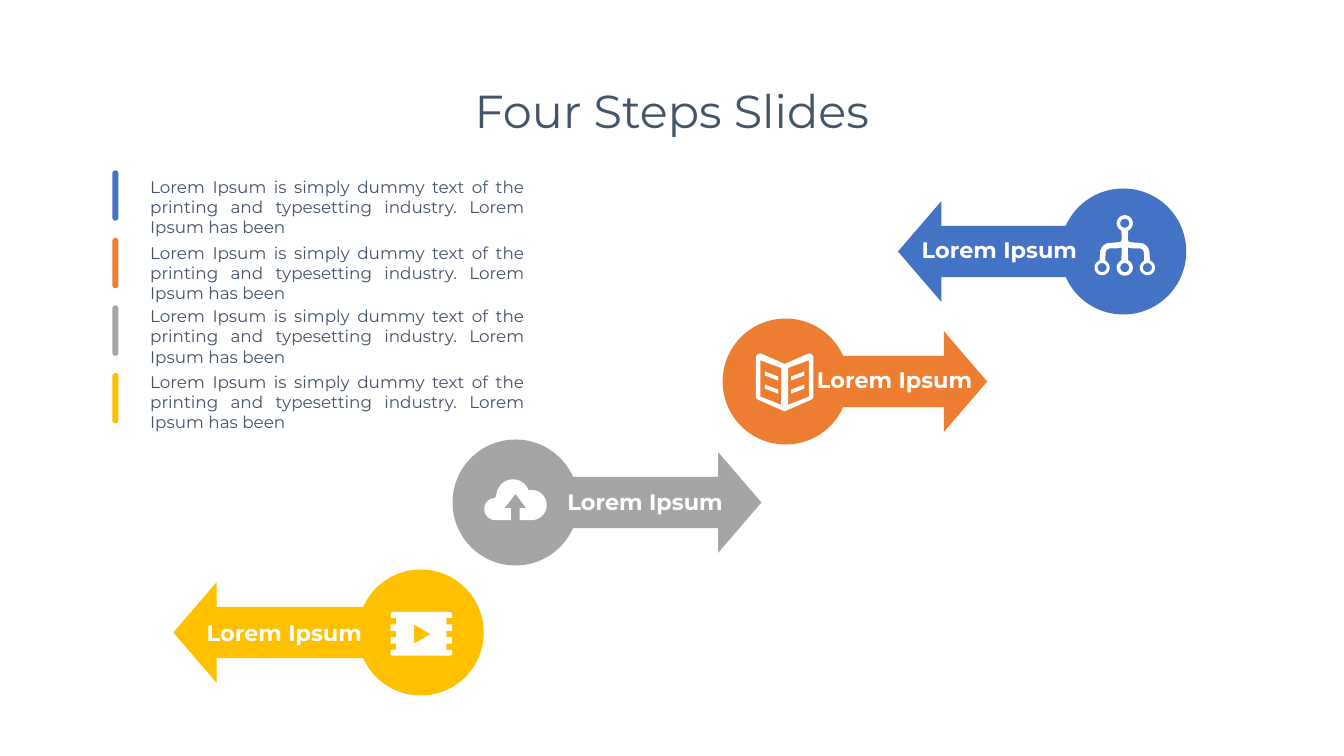
import math

from pptx import Presentation
from pptx import util as u
from pptx.dml.color import RGBColor
from pptx.enum import shapes, text

FONT = "Montserrat"
BLUE, ORANGE, GRAY, GOLD = "4472C4", "ED7D31", "A5A5A5", "FFC000"
WHITE, SLATE = "FFFFFF", "445469"
BODY = ("Lorem Ipsum is simply dummy text of the printing and typesetting "
        "industry. Lorem Ipsum has been")


def color(value):
    return RGBColor.from_string(value)


def paint(shape, fill):
    shape.shadow.inherit = False
    shape.fill.solid()
    shape.fill.fore_color.rgb = color(fill)
    shape.line.fill.background()


def add_text(page, words, left, top, width, height, *, size, ink, align,
             bold=False, wrap=True, anchor=text.MSO_ANCHOR.TOP,
             inset=(0.2, 0.1), spacing=None, grow=True):
    box = page.shapes.add_textbox(*map(u.Inches, (left, top, width, height)))
    frame = box.text_frame
    frame.word_wrap = wrap
    if grow:
        frame.auto_size = text.MSO_AUTO_SIZE.SHAPE_TO_FIT_TEXT
    frame.vertical_anchor = anchor
    frame.margin_left = frame.margin_right = u.Inches(inset[0])
    frame.margin_top = frame.margin_bottom = u.Inches(inset[1])
    para = frame.paragraphs[0]
    para.alignment = align
    if spacing:
        para.line_spacing = spacing
    span = para.add_run()
    span.text = words
    span.font.name = FONT
    span.font.size = u.Pt(size)
    span.font.bold = bold
    span.font.color.rgb = color(ink)


def add_preset(parent, kind, left, top, width, height, fill):
    shape = parent.shapes.add_shape(
        kind, *map(u.Inches, (left, top, width, height)))
    paint(shape, fill)
    return shape


def add_outline(parent, contours, x, y, fill):
    """Draw closed contours, given in inches around the point (x, y)."""
    builder = None
    for contour in contours:
        first, *rest = [(u.Inches(x + dx), u.Inches(y + dy)) for dx, dy in contour]
        if builder is None:
            builder = parent.shapes.build_freeform(*first)
        else:
            builder.move_to(*first)
        builder.add_line_segments(rest, close=True)
    paint(builder.convert_to_shape(), fill)


def arc(x, y, radius, start, end):
    """Points on an arc; angles in degrees, clockwise from the right."""
    steps = max(4, round(abs(end - start) / 10))
    angles = [math.radians(start + (end - start) * i / steps) for i in range(steps + 1)]
    return [(x + radius * math.cos(a), y + radius * math.sin(a)) for a in angles]


def mirror(points):
    return [(-x, y) for x, y in reversed(points)]


def tree_icon():
    half = [
        *arc(0, -0.56, 0.16, -90, 65),
        (0.06, -0.24), (0.08, -0.19), (0.16, -0.18),
        *arc(0.29, 0.03, 0.2, -90, 0),
        *arc(0.45, 0.32, 0.15, -70, 245),
        *arc(0.29, 0.03, 0.09, 0, -90),
        (0.16, -0.06), (0.06, -0.08),
        *arc(0, 0.32, 0.16, -65, 90),
    ]
    nodes = [(0, -0.56), (-0.45, 0.32), (0, 0.32), (0.45, 0.32)]
    return [half + mirror(half)] + [arc(x, y, 0.09, 0, 350) for x, y in nodes]


def book_icon():
    cover = [(0, -0.36), (0.48, -0.57), (0.54, -0.55), (0.57, -0.5),
             (0.57, 0.31), (0.53, 0.35), (0, 0.58)]
    sheet = [(0.07, 0.45), (0.07, -0.28), (0.48, -0.43), (0.48, 0.29)]
    lines = [[(0.13, y), (0.39, y - 0.1), (0.39, y - 0.02), (0.13, y + 0.08)]
             for y in (-0.11, 0.15)]
    parts = [sheet, *lines]
    return [cover + mirror(cover), *parts, *map(mirror, parts)]


def cloud_icon():
    arrow = [(-0.09, 0.35), (-0.09, 0.11), (-0.22, 0.11), (0, -0.17),
             (0.21, 0.11), (0.08, 0.11), (0.08, 0.35)]
    return [arrow + arc(0.32, 0.05, 0.3, 90, -100)
            + arc(-0.05, -0.13, 0.33, -17, -173)
            + arc(-0.4, 0.13, 0.22, -90, -270)]


def film_icon():
    edge, notch = 0.61, 0.5
    side = [(0.58, -0.44), (edge, -0.4)]
    for top, bottom in ((-0.32, -0.19), (-0.06, 0.06), (0.19, 0.31)):
        side += [(edge, top), (notch, top), (notch, bottom), (edge, bottom)]
    side += [(edge, 0.4), (0.58, 0.43)]
    return [side + mirror(side), [(-0.14, -0.19), (0.18, 0), (-0.14, 0.19)]]


def add_step(page, fill, hub, tip, middle, icon, icon_at, label_at):
    """A circle at hub with an arrow that points to tip, an icon and a label."""
    way = 1 if tip > hub else -1
    base = tip - way * 0.86
    start, end = sorted((hub + way * 0.65, base + way * 0.09))
    group = page.shapes.add_group_shape()
    add_preset(group, shapes.MSO_SHAPE.RECTANGLE,
               start, middle - 0.51, end - start, 1.02, fill)
    add_outline(group, [[(0, 0), (-way * 0.86, 1), (-way * 0.86, -1)]],
                tip, middle, fill)
    add_preset(group, shapes.MSO_SHAPE.OVAL,
               hub - 1.25, middle - 1.25, 2.5, 2.5, fill)
    add_outline(page, icon, *icon_at, WHITE)
    add_text(page, "Lorem Ipsum ", *label_at, 3.67, 0.74, size=32, ink=WHITE,
             align=text.PP_ALIGN.CENTER, bold=True, wrap=False)


def add_note(page, fill, bar_top, text_top):
    bar = add_preset(page, shapes.MSO_SHAPE.ROUND_2_SAME_RECTANGLE,
                     2.23, bar_top, 0.12, 1, fill)
    bar.adjustments[0] = bar.adjustments[1] = 0.5
    add_text(page, BODY, 2.74, text_top, 7.9, 1.45, size=24, ink=SLATE,
             align=text.PP_ALIGN.JUSTIFY, inset=(0.24, 0.12))


def main():
    deck = Presentation()
    deck.slide_width, deck.slide_height = u.Inches(26.67), u.Inches(15)
    page = deck.slides.add_slide(deck.slide_layouts[6])

    add_text(page, "Four Steps Slides", 1.83, 0.8, 23, 2.9, size=66, ink=SLATE,
             align=text.PP_ALIGN.CENTER, anchor=text.MSO_ANCHOR.MIDDLE,
             spacing=0.9, grow=False)

    steps = [
        (ORANGE, 15.59, 19.59, 7.57, book_icon(), (15.57, 7.58), (15.98, 7.16)),
        (GRAY, 10.23, 15.11, 9.97, cloud_icon(), (10.23, 9.97), (11.03, 9.59)),
        (BLUE, 22.29, 17.82, 4.99, tree_icon(), (22.32, 4.99), (18.06, 4.58)),
        (GOLD, 8.35, 3.44, 12.55, film_icon(), (8.36, 12.58), (3.87, 12.18)),
    ]
    for step in steps:
        add_step(page, *step)

    text_tops = (3.38, 4.69, 5.95, 7.25)
    for row, (fill, top) in enumerate(zip((BLUE, ORANGE, GRAY, GOLD), text_tops)):
        add_note(page, fill, 3.38 + row * 1.34, top)

    deck.save("out.pptx")


if __name__ == "__main__":
    main()
